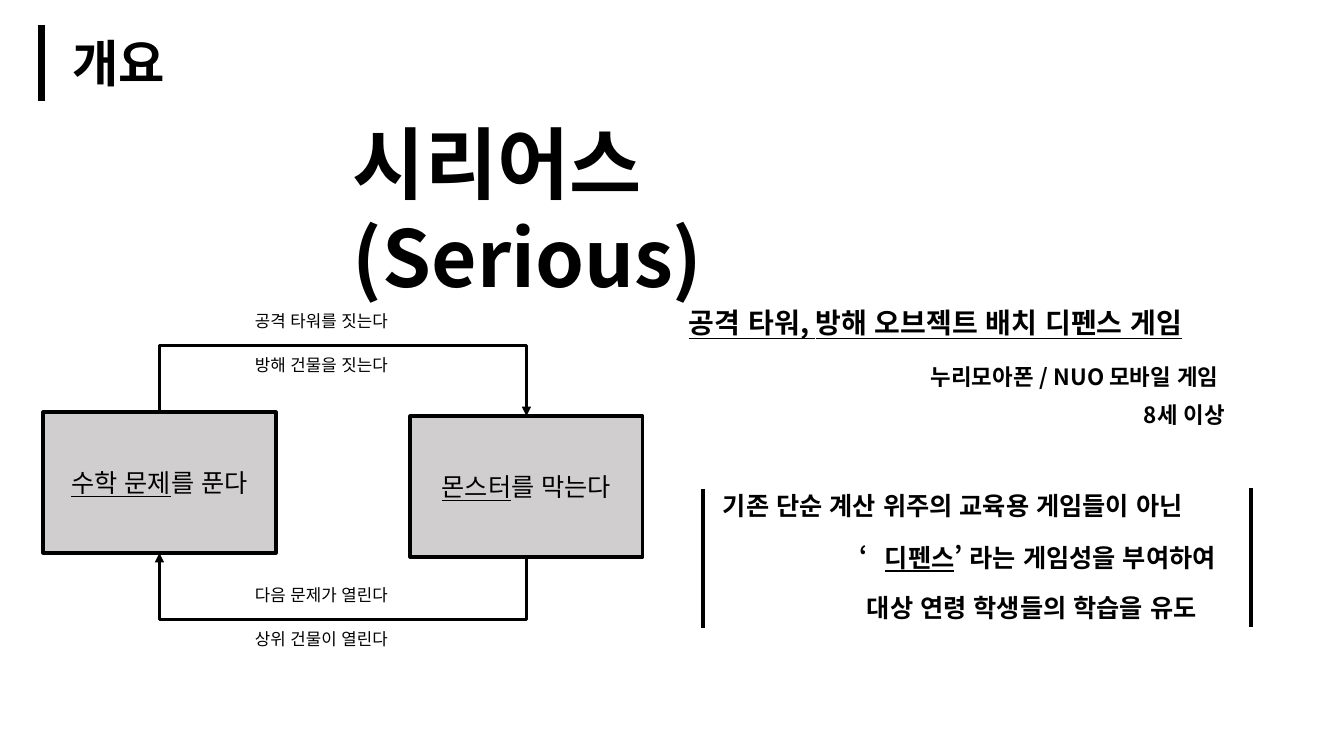
from dataclasses import dataclass

from lxml import etree
from pptx import Presentation
from pptx.dml.color import RGBColor
from pptx.enum.lang import MSO_LANGUAGE_ID
from pptx.enum.shapes import MSO_CONNECTOR, MSO_SHAPE
from pptx.enum.text import MSO_ANCHOR, MSO_AUTO_SIZE, PP_ALIGN
from pptx.oxml.ns import qn
from pptx.util import Pt

STRAIGHT, ELBOW = MSO_CONNECTOR.STRAIGHT, MSO_CONNECTOR.ELBOW
RECTANGLE = MSO_SHAPE.RECTANGLE
LEFT, CENTER = PP_ALIGN.LEFT, PP_ALIGN.CENTER
TOP, MIDDLE = MSO_ANCHOR.TOP, MSO_ANCHOR.MIDDLE
FIT_SHAPE = MSO_AUTO_SIZE.SHAPE_TO_FIT_TEXT
KOREAN = MSO_LANGUAGE_ID.KOREAN
TOP_SIDE, BOTTOM_SIDE = 0, 2
EMU_PER_PX = 914400 / 100.8


@dataclass(frozen=True)
class Theme:
    ink: RGBColor = RGBColor(0x00, 0x00, 0x00)
    box: RGBColor = RGBColor(0xD0, 0xCE, 0xCE)
    font: str = "Noto Sans CJK KR"
    title_font: str = "Montserrat"
    title: int = 36
    headline: int = 56
    feature: int = 20
    detail: int = 16
    body: int = 18
    label: int = 12
    quote_gap: int = 12
    flow_line: float = 2.25
    bracket_line: float = 3
    title_bar: float = 5


THEME = Theme()

# Content: runs are (text, underlined, optional letter spacing in points),
# places are left, top, width, height in px
TITLE = ("개요", (62, 27, 127, 72))
HEADLINE = ("시리어스(Serious)", (343, 110, 644, 105))
TEXTS = [
    ([("공격 타워, 방해 오브젝트 배치 디펜스 게임", True)], (679, 301, 568, 44), THEME.feature),
    ([("누리모아폰 / NUO 모바일 게임", False)], (921, 358, 326, 37), THEME.detail),
    ([("8세 이상", False)], (1134, 396, 109, 37), THEME.detail),
    ([("기존 단순 계산 위주의 교육용 게임들이 아닌", False)], (713, 485, 541, 40), THEME.body),
    ([("‘", False, THEME.quote_gap), ("디펜스", True), ("’ 라는 게임성을 부여하여", False)],
     (850, 537, 401, 40), THEME.body),
    ([("대상 연령 학생들의 학습을 유도", False)], (857, 587, 387, 40), THEME.body),
]
STEP_SIZE = (233, 141)
STEPS = [
    ([("수학 문제", True), ("를 푼다", False)], (43, 412)),
    ([("몬스터", True), ("를 막는다", False)], (410, 416)),
]
FLOW_LABELS = [
    ("공격 타워를 짓는다", 306),
    ("방해 건물을 짓는다", 350),
    ("다음 문제가 열린다", 580),
    ("상위 건물이 열린다", 624),
]
FLOW_LABEL_LEFT, FLOW_LABEL_SIZE = 245, (196, 36)
FLOW_TOP, FLOW_BOTTOM = 346, 619
BARS = [  # x, top, bottom, line width
    (42, 25, 101, THEME.title_bar),
    (703, 489, 628, THEME.bracket_line),
    (1251, 488, 627, THEME.bracket_line),
]


def px(*lengths):
    return [round(length * EMU_PER_PX) for length in lengths]


def write(shape, runs, size, bold=False, align=LEFT, anchor=TOP, latin=THEME.font, **frame_format):
    frame = shape.text_frame
    for name, value in {"vertical_anchor": anchor, **frame_format}.items():
        setattr(frame, name, value)
    paragraph = frame.paragraphs[0]
    paragraph.alignment = align
    for text, underline, *spacing in runs:
        run = paragraph.add_run()
        run.text = text
        font_format = {"size": Pt(size), "bold": bold, "underline": underline,
                       "name": latin, "language_id": KOREAN}
        for name, value in font_format.items():
            setattr(run.font, name, value)
        run.font.color.rgb = THEME.ink
        east_asian = etree.Element(qn("a:ea"), typeface=THEME.font)
        run.font._element.find(qn("a:latin")).addnext(east_asian)
        for points in spacing:
            run.font._element.set("spc", str(points * 100))


def add_text(slide, runs, place, size, bold=False, wrap=False):
    box = slide.shapes.add_textbox(*px(*place))
    write(box, runs, size, bold, word_wrap=wrap, auto_size=FIT_SHAPE)


def add_step(slide, runs, corner):
    shape = slide.shapes.add_shape(RECTANGLE, *px(*corner, *STEP_SIZE))
    shape.shadow.inherit = False
    shape.fill.solid()
    shape.fill.fore_color.rgb = THEME.box
    shape.line.color.rgb = THEME.ink
    shape.line.width = Pt(THEME.flow_line)
    write(shape, runs, THEME.body, align=CENTER, anchor=MIDDLE)
    return shape


def add_line(slide, kind, ends, width):
    line = slide.shapes.add_connector(kind, *px(*ends))
    line.line.color.rgb = THEME.ink
    line.line.width = Pt(width)
    etree.SubElement(line._element.spPr, qn("a:effectLst"))
    return line


def add_flow(slide, start, end, side, level, rotation):
    """Bent arrow leaving and entering the same side, turning at the given height."""
    arrow = add_line(slide, ELBOW, (0, 0, 0, 0), THEME.flow_line)
    arrow.begin_connect(start, side)
    arrow.end_connect(end, side)

    # A turned frame: its width is the vertical offset, its height the span
    offset = start.height if side == BOTTOM_SIDE else 0
    start_x, end_x = (step.left + step.width // 2 for step in (start, end))
    start_y, end_y = start.top + offset, end.top + offset
    drop, span = abs(end_y - start_y), abs(end_x - start_x)
    frame = {
        "left": (start_x + end_x - drop) // 2,
        "top": (start_y + end_y - span) // 2,
        "width": drop,
        "height": span,
    }
    transform = arrow._element.spPr.find(qn("a:xfrm"))
    for name, value in {"flipH": True, "flipV": False, "rot": rotation}.items():
        setattr(transform, name, value)
    for name, value in frame.items():
        setattr(arrow, name, value)

    bend = round(-abs(px(level)[0] - start_y) / drop * 100000)
    guides = arrow._element.spPr.find(qn("a:prstGeom")).get_or_add_avLst()
    etree.SubElement(guides, qn("a:gd"), name="adj1", fmla=f"val {bend}")
    etree.SubElement(arrow.line._get_or_add_ln(), qn("a:tailEnd"), type="triangle")


def main():
    presentation = Presentation()
    presentation.slide_width, presentation.slide_height = px(1344, 756)
    slide = presentation.slides.add_slide(presentation.slide_layouts[5])

    # Title and headline
    title, place = TITLE
    heading = slide.shapes.title
    for name, value in zip(("left", "top", "width", "height"), px(*place)):
        setattr(heading, name, value)
    write(heading, [(title, False)], THEME.title, True, latin=THEME.title_font,
          word_wrap=True, auto_size=FIT_SHAPE)
    headline, place = HEADLINE
    add_text(slide, [(headline, False)], place, THEME.headline, True, wrap=True)

    # Game description
    for runs, place, size in TEXTS:
        add_text(slide, runs, place, size, True)

    # Game loop
    solve, defend = [add_step(slide, runs, corner) for runs, corner in STEPS]
    add_flow(slide, solve, defend, TOP_SIDE, FLOW_TOP, 270)
    add_flow(slide, defend, solve, BOTTOM_SIDE, FLOW_BOTTOM, 90)
    for label, top in FLOW_LABELS:
        place = (FLOW_LABEL_LEFT, top, *FLOW_LABEL_SIZE)
        add_text(slide, [(label, False)], place, THEME.label)

    # Vertical bars
    for x, top, bottom, width in BARS:
        add_line(slide, STRAIGHT, (x, top, x, bottom), width)

    presentation.save("out.pptx")


if __name__ == "__main__":
    main()
